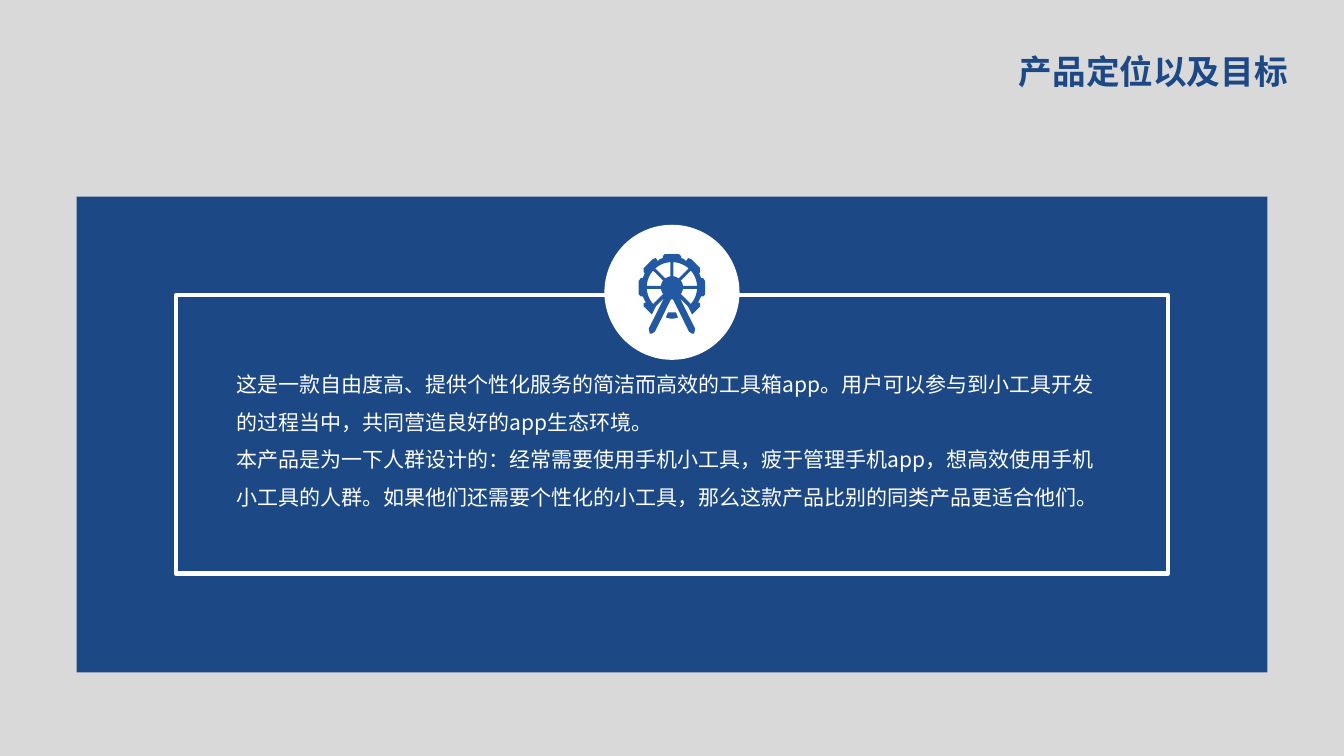
from math import asin, cos, pi, sin

from lxml import etree
from pptx import Presentation
from pptx.dml.color import RGBColor
from pptx.enum.shapes import MSO_SHAPE
from pptx.enum.text import MSO_AUTO_SIZE, PP_ALIGN
from pptx.oxml.ns import qn
from pptx.util import Inches, Pt

RECT, OVAL = MSO_SHAPE.RECTANGLE, MSO_SHAPE.OVAL
LEFT, RIGHT = PP_ALIGN.LEFT, PP_ALIGN.RIGHT
FIT = MSO_AUTO_SIZE.SHAPE_TO_FIT_TEXT
FONT = "Noto Sans CJK SC"
COLORS = {"back": "D9D9D9", "navy": "1C4885", "icon": "2259A2", "white": "FFFFFF"}

TITLE = "产品定位以及目标"
BODY = [
    "这是一款自由度高、提供个性化服务的简洁而高效的工具箱app。用户可以参与到小工具开发的过程当中，共同营造良好的app生态环境。",
    "本产品是为一下人群设计的：经常需要使用手机小工具，疲于管理手机app，想高效使用手机小工具的人群。如果他们还需要个性化的小工具，那么这款产品比别的同类产品更适合他们。",
]

HALF_WHEEL = [
    (0.07, -0.33), (0.09, -0.31), (0.09, -0.29), (0.12, -0.28), (0.14, -0.26),
    (0.16, -0.29), (0.19, -0.28), (0.28, -0.19), (0.28, -0.15), (0.27, -0.14),
    (0.29, -0.09), (0.31, -0.09), (0.33, -0.06), (0.33, 0.07), (0.31, 0.09),
    (0.29, 0.09), (0.26, 0.15), (0.28, 0.16), (0.28, 0.19), (0.2, 0.27),
    (0.16, 0.19), (0.08, 0.11), (0.23, 0.41), (0.22, 0.46), (0.2, 0.46),
    (0.17, 0.44), (0.01, 0.12),
]
HALF_FOOT = [(0.04, 0.25), (0.06, 0.3), (0.02, 0.31)]
HUB, RIM, SPOKE = 0.11, 0.25, 0.015


def rgb(name):
    """Return a palette colour."""
    return RGBColor.from_string(COLORS[name])


def add_shape(shapes, kind, box, fill=None, line=None):
    """Add a flat preset shape in a box given in inches."""
    sp = shapes.add_shape(kind, *map(Inches, box))
    sp.shadow.inherit = False
    if fill:
        sp.fill.solid()
        sp.fill.fore_color.rgb = rgb(fill)
    else:
        sp.fill.background()
    if line:
        sp.line.color.rgb = rgb(line)
        sp.line.width = Pt(3)
    else:
        sp.line.fill.background()


def add_text(shapes, box, lines, size, color, align=LEFT, bold=False, spacing=1.0):
    """Add a wrapped text box with one paragraph per line."""
    tf = shapes.add_textbox(*map(Inches, box)).text_frame
    tf.word_wrap = True
    tf.auto_size = FIT
    tf.text = "\n".join(lines)
    for p in tf.paragraphs:
        p.alignment = align
        p.line_spacing = spacing
        p.font.size = Pt(size)
        p.font.bold = bold
        p.font.color.rgb = rgb(color)
        p.font.name = FONT
        props = p._p.pPr.find(qn("a:defRPr"))
        etree.SubElement(props, qn("a:ea"), typeface=FONT)


def mirrored(half):
    """Close a right-hand outline with its mirror image."""
    return half + [(-x, y) for x, y in reversed(half)]


def arc(radius, start, steps=6):
    """Return points along an eighth of a circle, clear of the spokes."""
    gap = asin(SPOKE / radius)
    sweep = pi / 4 - 2 * gap
    angles = [start + gap + sweep * i / steps for i in range(steps + 1)]
    return [(radius * cos(a), radius * sin(a)) for a in angles]


def add_wheel(shapes, cx, cy):
    """Draw the Ferris wheel around its hub."""
    openings = [arc(HUB, k * pi / 4) + arc(RIM, k * pi / 4)[::-1] for k in range(-4, 1)]
    openings.append(arc(HUB, 3 * pi / 4) + arc(RIM, 3 * pi / 4)[::-1])
    contours = [
        [(Inches(cx + x), Inches(cy + y)) for x, y in outline]
        for outline in [mirrored(HALF_WHEEL), mirrored(HALF_FOOT), *openings]
    ]
    builder = shapes.build_freeform(*contours[0][0])
    for i, points in enumerate(contours):
        if i:
            builder.move_to(*points[0])
        builder.add_line_segments(points[1:], close=True)
    sp = builder.convert_to_shape()
    sp.shadow.inherit = False
    sp.fill.solid()
    sp.fill.fore_color.rgb = rgb("icon")
    sp.line.fill.background()


def add_panel(s, x, y, w, h):
    """Place the framed panel with its badge and text."""
    shapes = s.shapes.add_group_shape().shapes
    margin, badge = 0.985, 1.34
    frame_y, cx = y + 0.98, x + w / 2
    add_shape(shapes, RECT, (x, y, w, h), fill="navy")
    add_shape(shapes, RECT, (x + margin, frame_y, w - 2 * margin, 2.76), line="white")
    add_shape(shapes, OVAL, (cx - badge / 2, y + 0.28, badge, badge), fill="white")
    add_text(shapes, (x + 1.49, y + 1.56, w - 2.98, 1.61), BODY, 15, "white", spacing=1.5)
    add_wheel(shapes, cx, y + 0.9)


def main():
    """Build and save the slide."""
    prs = Presentation()
    prs.slide_width, prs.slide_height = Inches(13.33), Inches(7.5)
    s = prs.slides.add_slide(prs.slide_layouts[6])
    s.background.fill.solid()
    s.background.fill.fore_color.rgb = rgb("back")
    add_text(s.shapes, (9.22, 0.46, 3.65, 0.5), [TITLE], 24, "navy", RIGHT, bold=True)
    add_panel(s, 0.76, 1.95, 11.81, 4.72)
    prs.save("out.pptx")


if __name__ == "__main__":
    main()
